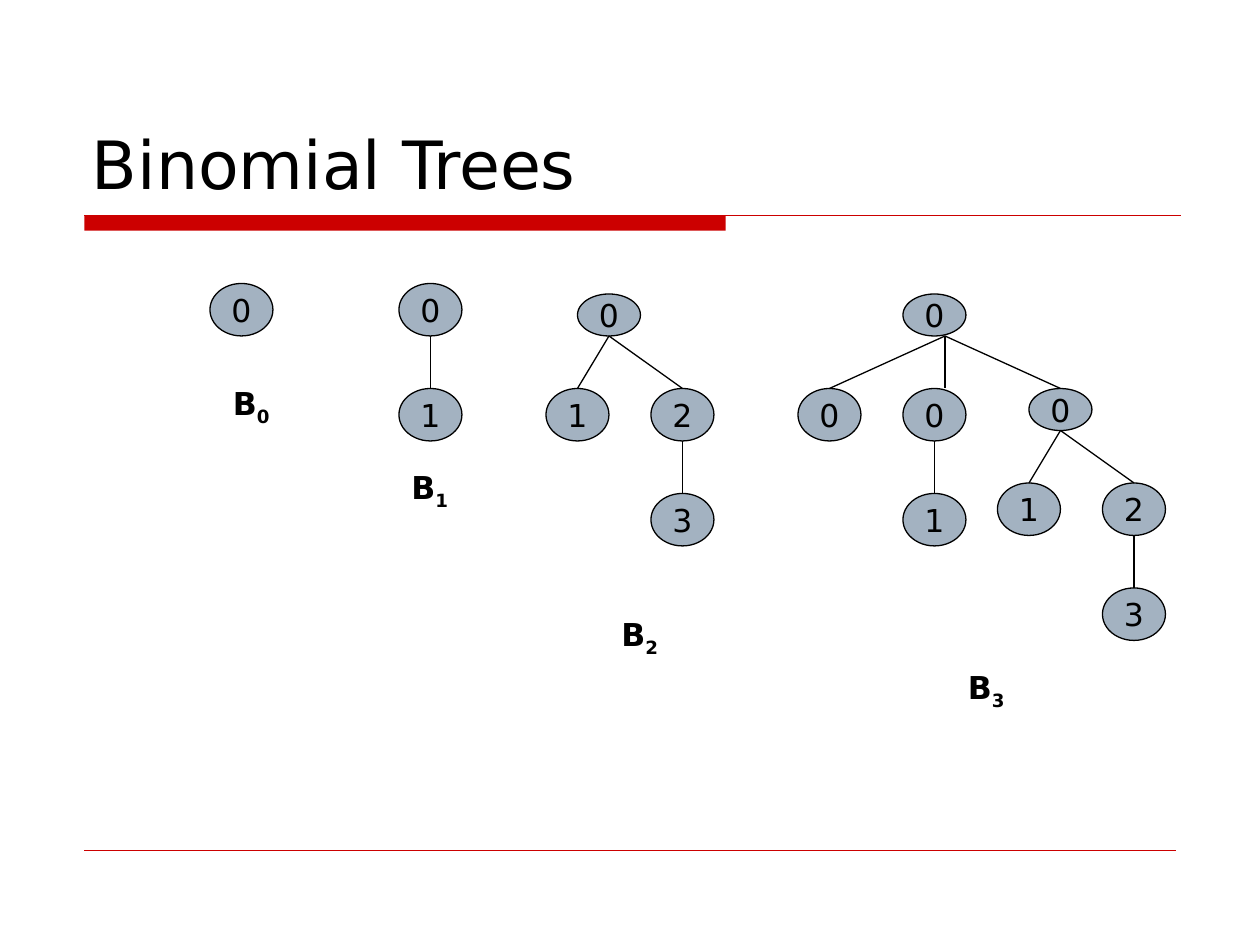
from dataclasses import dataclass

from lxml.etree import SubElement
from pptx import Presentation
from pptx.dml.color import RGBColor
from pptx.enum.shapes import MSO_CONNECTOR, MSO_SHAPE
from pptx.enum.text import MSO_ANCHOR, MSO_AUTO_SIZE, PP_ALIGN
from pptx.oxml.ns import qn
from pptx.util import Inches, Length, Pt


@dataclass(frozen=True)
class Theme:
    font: str = "DejaVu Sans"
    ink: RGBColor = RGBColor(0, 0, 0)
    accent: RGBColor = RGBColor(0xCC, 0, 0)
    node: RGBColor = RGBColor(0xA3, 0xB2, 0xC1)
    title_size: Length = Pt(38)
    text_size: Length = Pt(18)
    label_space: Length = Pt(11.2)
    line: Length = Pt(0.75)
    hairline: Length = Pt(0.25)


@dataclass(frozen=True)
class Node:
    text: str
    x: int
    top: int
    height: int = 5
    children: tuple["Node", ...] = ()
    exit_shift: int = 0
    entry_shift: int = 0


@dataclass(frozen=True)
class Label:
    order: str
    x: int
    y: int


THEME = Theme()
NODE_WIDTH = 6
LEVEL = 10


def grid(units: float) -> Length:
    return Inches(units / 12)


def style_run(r, size: Length, bold: bool = False) -> None:
    r.font.name = THEME.font
    r.font.size = size
    r.font.bold = bold
    r.font.color.rgb = THEME.ink


def add_line(s, x1: Length, y1: Length, x2: Length, y2: Length,
             color: RGBColor, width: Length) -> None:
    line = s.shapes.add_connector(MSO_CONNECTOR.STRAIGHT, x1, y1, x2, y2)
    line.line.color.rgb = color
    line.line.width = width
    SubElement(line._element.spPr, qn("a:effectLst"))


def add_title(s, text: str) -> None:
    sp = s.shapes.title
    sp.left, sp.top = Inches(0.63), Inches(0.33)
    sp.width, sp.height = Inches(8.75), Inches(1.33)
    tf = sp.text_frame
    tf.text = text
    tf.auto_size = MSO_AUTO_SIZE.NONE
    tf.vertical_anchor = MSO_ANCHOR.BOTTOM
    p = tf.paragraphs[0]
    p.alignment = PP_ALIGN.LEFT
    style_run(p.runs[0], THEME.title_size)


def add_rules(s) -> None:
    left, top = Inches(0.67), Inches(1.71)
    bar = s.shapes.add_shape(MSO_SHAPE.RECTANGLE, left, top, Inches(5.09), Inches(0.12))
    bar.shadow.inherit = False
    bar.fill.solid()
    bar.fill.fore_color.rgb = THEME.accent
    bar.line.fill.background()
    add_line(s, left, top, Inches(9.37), top, THEME.accent, THEME.line)
    foot = Inches(6.75)
    add_line(s, left, foot, Inches(9.33), foot, THEME.accent, THEME.hairline)


def add_node(s, node: Node) -> None:
    sp = s.shapes.add_shape(MSO_SHAPE.OVAL, grid(node.x - NODE_WIDTH / 2),
                            grid(node.top), grid(NODE_WIDTH), grid(node.height))
    sp.shadow.inherit = False
    sp.fill.solid()
    sp.fill.fore_color.rgb = THEME.node
    sp.line.color.rgb = THEME.ink
    sp.line.width = THEME.line
    tf = sp.text_frame
    tf.text = node.text
    tf.word_wrap = False
    tf.vertical_anchor = MSO_ANCHOR.MIDDLE
    p = tf.paragraphs[0]
    p.alignment = PP_ALIGN.CENTER
    style_run(p.runs[0], THEME.text_size)


def add_tree(s, root: Node) -> None:
    add_node(s, root)
    for child in root.children:
        add_tree(s, child)
        add_line(s, grid(root.x + root.exit_shift), grid(root.top + root.height),
                 grid(child.x + child.entry_shift), grid(child.top),
                 THEME.ink, THEME.line)


def add_label(s, label: Label) -> None:
    sp = s.shapes.add_textbox(grid(label.x), grid(label.y), Inches(0.58), Inches(0.44))
    tf = sp.text_frame
    tf.word_wrap = True
    p = tf.paragraphs[0]
    p.text = "B"
    p.space_before = THEME.label_space
    subscript = p.add_run()
    subscript.text = label.order
    for r in p.runs:
        style_run(r, THEME.text_size, bold=True)
    subscript._r.get_or_add_rPr().set("baseline", "-25000")


def pair(top_text: str, x: int, top: int, entry_shift: int = 0) -> Node:
    leaf = Node(str(int(top_text) + 1), x, top + LEVEL)
    return Node(top_text, x, top, children=(leaf,), entry_shift=entry_shift)


def order_two(x: int, top: int) -> Node:
    below = top + LEVEL - 1
    return Node("0", x, top, 4, (Node("1", x - 3, below), pair("2", x + 7, below)))


def order_three(x: int, top: int) -> Node:
    below = top + LEVEL - 1
    children = (Node("0", x - 10, below), pair("0", x, below, entry_shift=1),
                order_two(x + 12, below))
    return Node("0", x, top, 4, children, exit_shift=1)


def main() -> None:
    prs = Presentation()
    prs.slide_width, prs.slide_height = Inches(10), Inches(7.5)
    s = prs.slides.add_slide(prs.slide_layouts[5])
    add_rules(s)
    add_title(s, "Binomial Trees")
    for root in (Node("0", 23, 27), pair("0", 41, 27), order_two(58, 28), order_three(89, 28)):
        add_tree(s, root)
    for label in (Label("0", 21, 36), Label("1", 38, 44), Label("2", 58, 58), Label("3", 91, 63)):
        add_label(s, label)
    prs.save("out.pptx")


if __name__ == "__main__":
    main()
